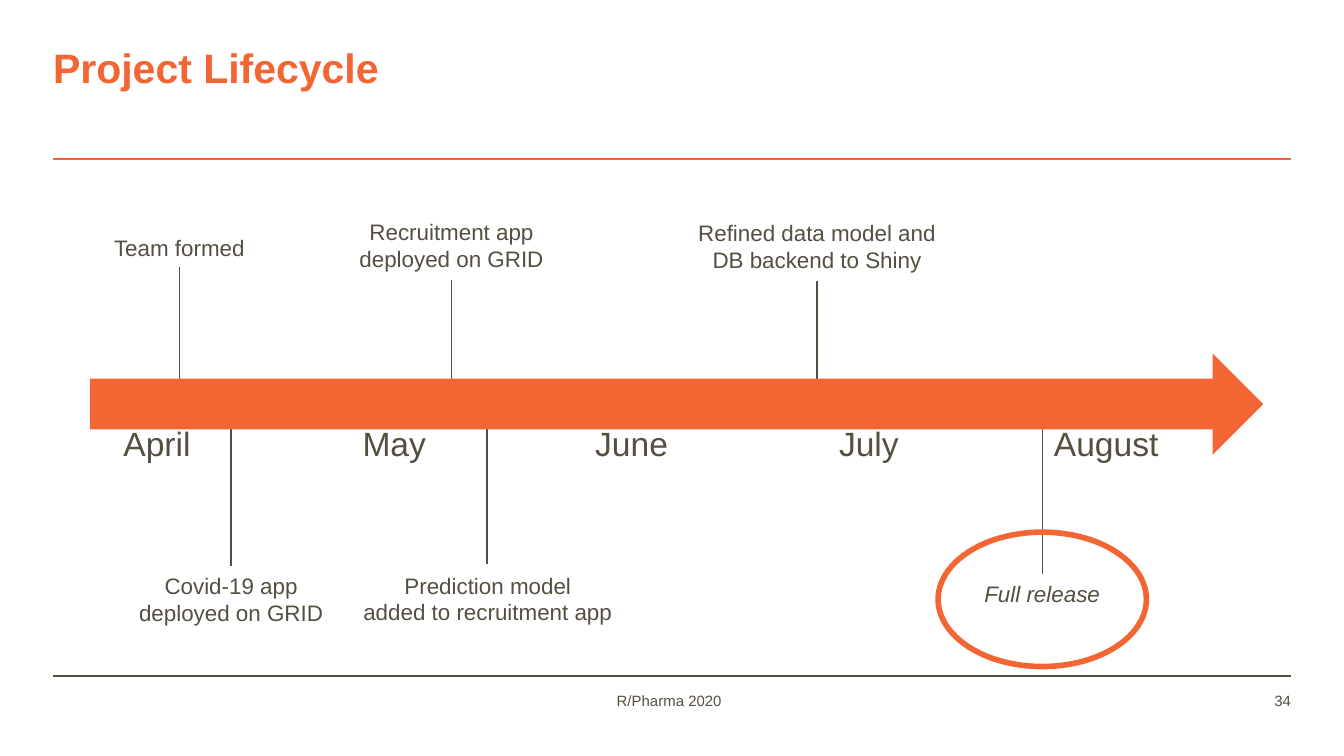
from pptx import Presentation
from pptx.dml.color import RGBColor
from pptx.enum.shapes import MSO_CONNECTOR, MSO_SHAPE
from pptx.enum.text import MSO_ANCHOR, MSO_AUTO_SIZE, PP_ALIGN
from pptx.oxml.ns import qn
from pptx.util import Pt
from lxml import etree

PX = 4572  # EMU per px, 200 px to the inch
TITLE_ONLY = 5
STRAIGHT = MSO_CONNECTOR.STRAIGHT
ARROW, OVAL = MSO_SHAPE.RIGHT_ARROW, MSO_SHAPE.OVAL
LEFT, CENTER, RIGHT = PP_ALIGN.LEFT, PP_ALIGN.CENTER, PP_ALIGN.RIGHT
TOP = MSO_ANCHOR.TOP
NO_AUTOSIZE = MSO_AUTO_SIZE.NONE
ORANGE, DARK = "F36633", "544F40"
FONT = "Arial"


def px(*lengths):
    return [n * PX for n in lengths]


def rgb(color):
    return RGBColor.from_string(color)


class Deck:
    def __init__(self, width, height):
        self.prs = Presentation()
        self.prs.slide_width, self.prs.slide_height = px(width, height)
        self.s = self.prs.slides.add_slide(self.prs.slide_layouts[TITLE_ONLY])

    def style(self, tf, size, color=DARK, align=CENTER, bold=False, italic=False):
        for p in tf.paragraphs:
            p.alignment = align
            for r in p.runs:
                r.font.name, r.font.size = FONT, Pt(size)
                r.font.bold, r.font.italic = bold, italic
                r.font.color.rgb = rgb(color)

    def inset(self, tf, left, top, right, bottom):
        tf.margin_left, tf.margin_top, tf.margin_right, tf.margin_bottom = px(
            left, top, right, bottom)

    def title(self, text, *box):
        sp = self.s.shapes.title
        sp.left, sp.top, sp.width, sp.height = px(*box)
        tf = sp.text_frame
        tf.text = text
        tf.auto_size, tf.vertical_anchor = NO_AUTOSIZE, TOP
        self.inset(tf, 0, 0, 0, 0)
        self.style(tf, 22, ORANGE, LEFT, bold=True)

    def text(self, text, box, size=12, wrap=True, inset=(20, 10, 20, 10), **look):
        tf = self.s.shapes.add_textbox(*px(*box)).text_frame
        tf.text = text
        tf.word_wrap = wrap
        self.inset(tf, *inset)
        self.style(tf, size, **look)

    def line(self, x1, y1, x2, y2, color=DARK, width=0.75):
        c = self.s.shapes.add_connector(STRAIGHT, *px(x1, y1, x2, y2))
        c.line.color.rgb, c.line.width = rgb(color), Pt(width)
        etree.SubElement(c._element.spPr, qn("a:effectLst"))

    def shape(self, kind, box, fill=None, outline=None, width=1):
        sp = self.s.shapes.add_shape(kind, *px(*box))
        sp.shadow.inherit = False
        if fill:
            sp.fill.solid()
            sp.fill.fore_color.rgb = rgb(fill)
        else:
            sp.fill.background()
        if outline:
            sp.line.color.rgb, sp.line.width = rgb(outline), Pt(width)
        else:
            sp.line.fill.background()

    def row(self, labels, box):
        """Add a one-row table without fills."""
        table = self.s.shapes.add_table(1, len(labels), *px(*box)).table
        table.first_row = table.horz_banding = False
        for cell, label in zip(table.rows[0].cells, labels):
            cell.fill.background()
            cell.text_frame.text = label
            self.style(cell.text_frame, 18)


def main():
    deck = Deck(2000, 1125)
    deck.line(79, 1006, 1921, 1006, width=1)
    deck.line(79, 236, 1921, 236, ORANGE, 1)
    deck.title("Project Lifecycle", 79, 63, 1658, 74)

    deck.row(["April", "May", "June", "July", "August"], (57, 624, 1766, 81))

    # Stems: x, label end, arrow end
    for x, start, end in [(267, 398, 568), (672, 416, 568), (1216, 418, 594),
                          (344, 842, 626), (725, 840, 626), (1551, 854, 626)]:
        deck.line(x, start, x, end)
    deck.shape(ARROW, (134, 526, 1746, 151), fill=ORANGE)

    deck.text("Team formed", (149, 338, 236, 60), wrap=False)
    deck.text("Recruitment app deployed on GRID", (504, 315, 336, 100))
    deck.text("Refined data model and DB backend to Shiny", (1019, 316, 394, 100))
    deck.text("Covid-19 app deployed on GRID", (169, 842, 350, 100))
    deck.text("Prediction model\nadded to recruitment app", (519, 841, 414, 100),
              wrap=False)
    deck.text("Full release", (1444, 854, 214, 60), wrap=False, italic=True)
    deck.shape(OVAL, (1396, 792, 310, 200), outline=ORANGE, width=3)

    deck.text("R/Pharma 2020", (650, 1029, 692, 60), 8, inset=(16, 0, 16, 0))
    deck.text("34", (1739, 1029, 182, 60), 8, inset=(16, 0, 0, 0), align=RIGHT)
    deck.prs.save("out.pptx")


if __name__ == "__main__":
    main()
